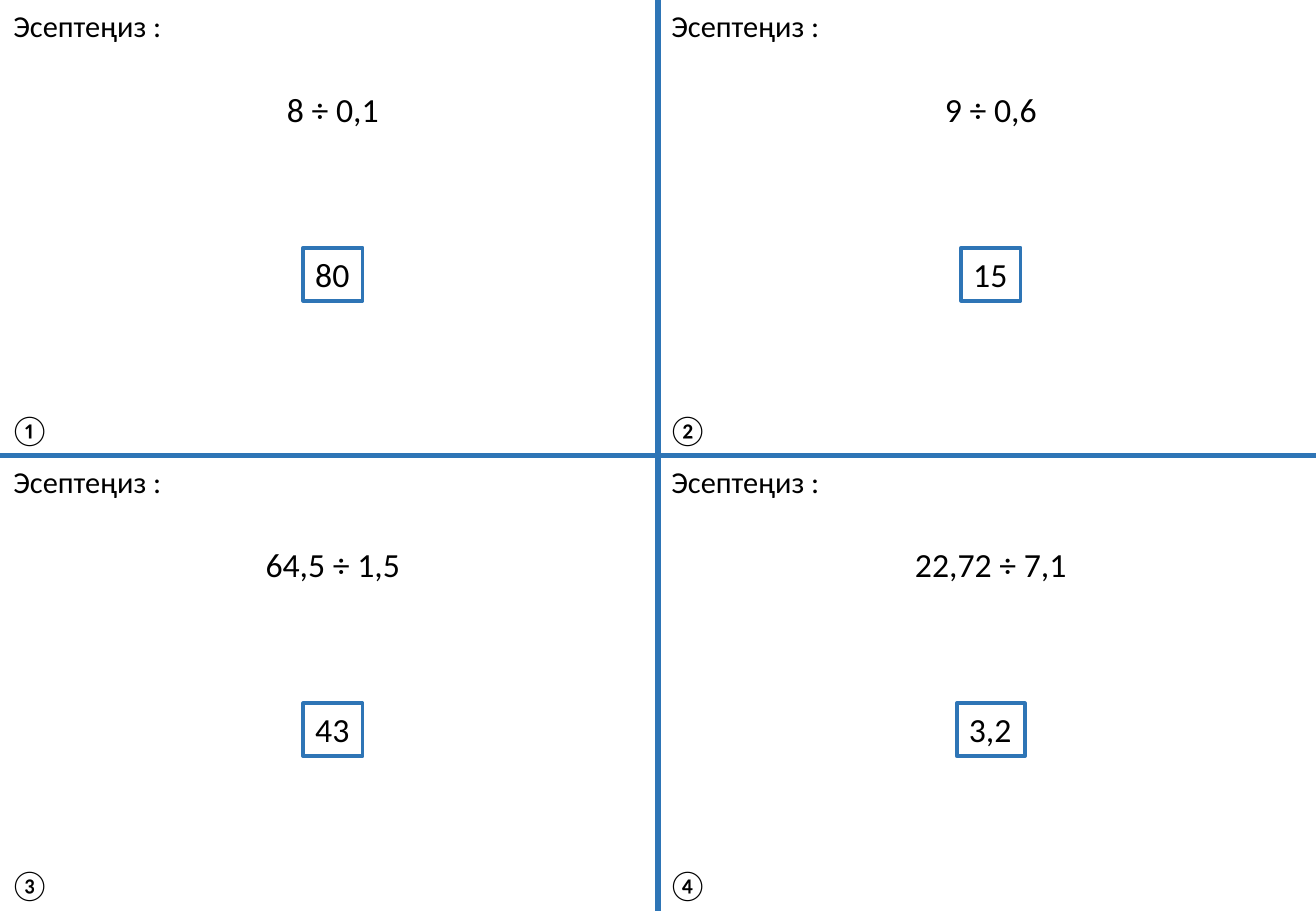
from pptx import Presentation
from pptx.dml.color import RGBColor
from pptx.enum.shapes import MSO_CONNECTOR, MSO_SHAPE
from pptx.enum.text import MSO_ANCHOR, MSO_AUTO_SIZE, PP_ALIGN
from pptx.oxml.ns import qn
from pptx.util import Cm, Pt
from lxml.etree import SubElement

BLUE = RGBColor(0x2E, 0x75, 0xB6)
WHITE = RGBColor(0xFF, 0xFF, 0xFF)
BLACK = RGBColor(0x00, 0x00, 0x00)

WIDTH, HEIGHT = 27.51, 19.05
CELL_W, CELL_H = WIDTH / 2, HEIGHT / 2
MIDDLE = 6.96

CARDS = [
    ("①", "8 ÷ 0,1", 2.44, "80", 1.24),
    ("②", "9 ÷ 0,6", 2.44, "15", 1.24),
    ("③", "64,5 ÷ 1,5", 3.35, "43", 1.24),
    ("④", "22,72 ÷ 7,1", 3.71, "3,2", 1.42),
]


class Sheet:
    font = "Calibri"

    def __init__(self, slide):
        self.shapes = slide.shapes

    def line(self, x1, y1, x2, y2):
        line = self.shapes.add_connector(
            MSO_CONNECTOR.STRAIGHT, Cm(x1), Cm(y1), Cm(x2), Cm(y2))
        line.line.color.rgb = BLUE
        line.line.width = Pt(3)
        SubElement(line.element.spPr, qn("a:effectLst"))

    def set_text(self, shape, text, size, align):
        frame = shape.text_frame
        frame.word_wrap = False
        frame.auto_size = MSO_AUTO_SIZE.SHAPE_TO_FIT_TEXT
        frame.vertical_anchor = MSO_ANCHOR.TOP
        para = frame.paragraphs[0]
        para.text = text
        para.alignment = align
        para.font.name = self.font
        para.font.size = Pt(size)
        para.font.color.rgb = BLACK

    def label(self, x, y, w, h, text, size=18, align=PP_ALIGN.LEFT):
        box = self.shapes.add_textbox(Cm(x), Cm(y), Cm(w), Cm(h))
        self.set_text(box, text, size, align)

    def answer(self, x, y, w, h, text):
        box = self.shapes.add_shape(
            MSO_SHAPE.RECTANGLE, Cm(x), Cm(y), Cm(w), Cm(h))
        box.shadow.inherit = False
        box.fill.solid()
        box.fill.fore_color.rgb = WHITE
        box.line.color.rgb = BLUE
        box.line.width = Pt(2.25)
        self.set_text(box, text, 20, PP_ALIGN.JUSTIFY)

    def card(self, x, y, number, task, task_w, result, result_w):
        center = x + MIDDLE
        self.label(x + 0.03, y + 0.03, 3.66, 1.03, "Эсептеңиз :")
        self.label(center - task_w / 2, y + 1.73, task_w, 1.11,
                   task, 20, PP_ALIGN.CENTER)
        self.answer(center - result_w / 2, y + 5.18, result_w, 1.11, result)
        self.label(x - 0.05, y + 8.47, 1.37, 1.03, number)


def main():
    deck = Presentation()
    deck.slide_width, deck.slide_height = Cm(WIDTH), Cm(HEIGHT)
    sheet = Sheet(deck.slides.add_slide(deck.slide_layouts[6]))
    sheet.line(CELL_W, 0, CELL_W, HEIGHT)
    sheet.line(WIDTH, CELL_H, 0, CELL_H)
    for index, card in enumerate(CARDS):
        row, col = divmod(index, 2)
        sheet.card(col * CELL_W, row * CELL_H, *card)
    deck.save("out.pptx")


if __name__ == "__main__":
    main()
